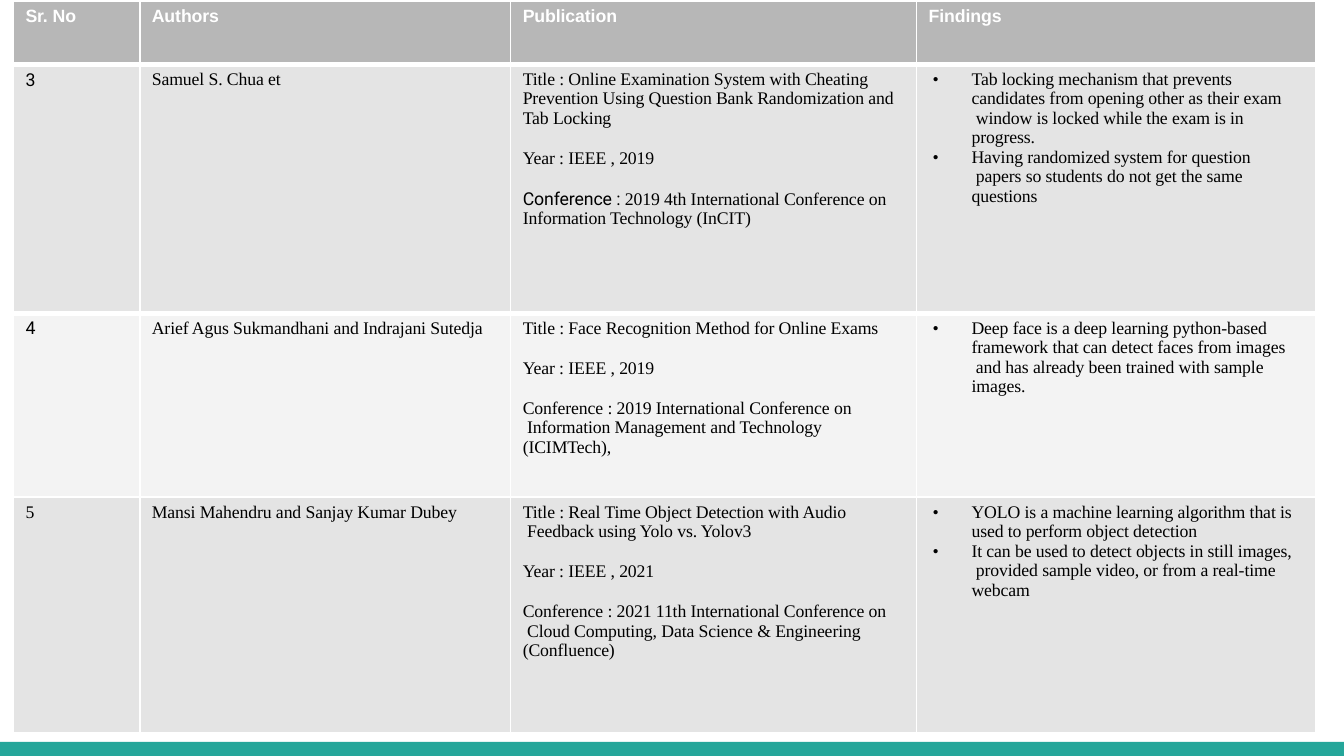
from dataclasses import dataclass

from lxml import etree
from pptx import Presentation, util as u
from pptx.dml.color import RGBColor
from pptx.enum import shapes, text
from pptx.oxml.ns import qn

SERIF = "Times New Roman"
HEADINGS = ["Sr. No", "Authors", "Publication", "Findings"]
COLUMN_WIDTHS = [0.94, 2.76, 3.02, 2.97]
HEADING_HEIGHT = 0.47
SLIDE_WIDTH = 10
SLIDE_HEIGHT = SLIDE_WIDTH * 9 / 16


@dataclass
class Line:
    text: str
    font: str = SERIF
    lead: str = ""
    before: float = 2.6
    bullet: bool = False
    color: str = "000000"
    bold: bool = False


@dataclass
class Paper:
    number: Line
    authors: str
    title: str
    year: str
    conference: Line
    findings: list[str]
    height: float
    fill: str


PAPERS = [
    Paper(
        Line("3", "Roboto"),
        "Samuel S. Chua et",
        "Online Examination System with Cheating\vPrevention Using Question Bank "
        "Randomization and\vTab Locking",
        "2019",
        Line("2019 4th International Conference on\vInformation Technology (InCIT)",
             lead="Conference : ", before=11),
        ["Tab locking mechanism that prevents\vcandidates from opening other as their exam"
         "\v window is locked while the exam is in\vprogress.",
         "Having randomized system for question\v papers so students do not get the same"
         "\vquestions"],
        1.85, "E4E4E4"),
    Paper(
        Line("4", "Roboto"),
        "Arief Agus Sukmandhani and Indrajani Sutedja",
        "Face Recognition Method for Online Exams",
        "2019",
        Line("Conference : 2019 International Conference on"
             "\v Information Management and Technology\v(ICIMTech),", before=11),
        ["Deep face is a deep learning python-based\vframework that can detect faces from images"
         "\v and has already been trained with sample\vimages."],
        1.37, "F3F3F3"),
    Paper(
        Line("5"),
        "Mansi Mahendru and Sanjay Kumar Dubey",
        "Real Time Object Detection with Audio\v Feedback using Yolo vs. Yolov3",
        "2021",
        Line("Conference : 2021 11th International Conference on"
             "\v Cloud Computing, Data Science & Engineering\v(Confluence)", before=11),
        ["YOLO is a machine learning algorithm that is\vused to perform object detection",
         "It can be used to detect objects in still images,\v provided sample video, or from a "
         "real-time\vwebcam"],
        1.75, "E4E4E4"),
]


def paint(fill, color: str) -> None:
    fill.solid()
    fill.fore_color.rgb = RGBColor.from_string(color)


def write_line(paragraph, line: Line) -> None:
    paragraph.text = line.text
    paragraph.alignment = text.PP_ALIGN.LEFT
    paragraph.space_before = u.Pt(line.before)
    font = paragraph.font
    font.name, font.size, font.bold = line.font, u.Pt(9.5), line.bold
    paint(font.fill, line.color)
    properties = paragraph._p.get_or_add_pPr()
    character = properties.find(qn("a:defRPr"))
    character.set("spc", "-5")
    properties.set("marL", str(u.Inches(0.41 if line.bullet else 0.09)))
    properties.set("indent", str(u.Inches(-0.29 if line.bullet else 0)))
    if line.bullet:
        character.addprevious(etree.Element(qn("a:buFont"), typeface=SERIF))
        character.addprevious(etree.Element(qn("a:buChar"), char="•"))
    if line.lead:
        lead = paragraph.add_run()
        lead.text = line.lead
        lead.font.name = "Roboto"
        paragraph.runs[0]._r.addprevious(lead._r)


def write_cell(cell, lines: list[Line], fill: str) -> None:
    paint(cell.fill, fill)
    cell.margin_left = cell.margin_right = cell.margin_bottom = u.Inches(0)
    cell.margin_top = u.Inches(0.04)
    frame = cell.text_frame
    for index, line in enumerate(lines):
        write_line(frame.add_paragraph() if index else frame.paragraphs[0], line)


def rule_edge(cell, edge: str, color: str, points: float) -> None:
    border = etree.Element(qn(f"a:{edge}"), w=str(u.Pt(points)))
    solid = etree.SubElement(border, qn("a:solidFill"))
    etree.SubElement(solid, qn("a:srgbClr"), val=color)
    cell._tc.get_or_add_tcPr().insert(0, border)


def paper_cells(paper: Paper) -> list[list[Line]]:
    return [
        [paper.number],
        [Line(paper.authors)],
        [Line(f"Title : {paper.title}"),
         Line(f"Year : IEEE , {paper.year}", before=11),
         paper.conference],
        [Line(finding, bullet=True, before=0 if index else 2.6)
         for index, finding in enumerate(paper.findings)],
    ]


def add_footer_bar(slide) -> None:
    bar = slide.shapes.add_shape(shapes.MSO_SHAPE.RECTANGLE, u.Inches(0), u.Inches(5.52),
                                 u.Inches(SLIDE_WIDTH), u.Inches(SLIDE_HEIGHT - 5.52))
    bar.shadow.inherit = False
    paint(bar.fill, "25A69A")
    bar.line.fill.background()


def add_survey(slide) -> None:
    heights = [HEADING_HEIGHT] + [paper.height for paper in PAPERS]
    survey = slide.shapes.add_table(
        len(heights), len(COLUMN_WIDTHS), u.Inches(0.1), u.Inches(0.01),
        u.Inches(sum(COLUMN_WIDTHS)), u.Inches(sum(heights))).table
    for column, width in zip(survey.columns, COLUMN_WIDTHS):
        column.width = u.Inches(width)
    for row, height in zip(survey.rows, heights):
        row.height = u.Inches(height)
    for cell, heading in zip(survey.rows[0].cells, HEADINGS):
        write_cell(cell, [Line(heading, "Arial", color="FFFFFF", bold=True)], "B7B7B7")
        rule_edge(cell, "lnB", "FFFFFF", 3)
    for row, paper in zip(list(survey.rows)[1:], PAPERS):
        for cell, lines in zip(row.cells, paper_cells(paper)):
            write_cell(cell, lines, paper.fill)
    for cell in survey.rows[1].cells:
        rule_edge(cell, "lnT", "FFFFFF", 3)


def main() -> None:
    deck = Presentation()
    deck.slide_width, deck.slide_height = u.Inches(SLIDE_WIDTH), u.Inches(SLIDE_HEIGHT)
    slide = deck.slides.add_slide(deck.slide_layouts[6])
    add_footer_bar(slide)
    add_survey(slide)
    deck.save("out.pptx")


if __name__ == "__main__":
    main()
